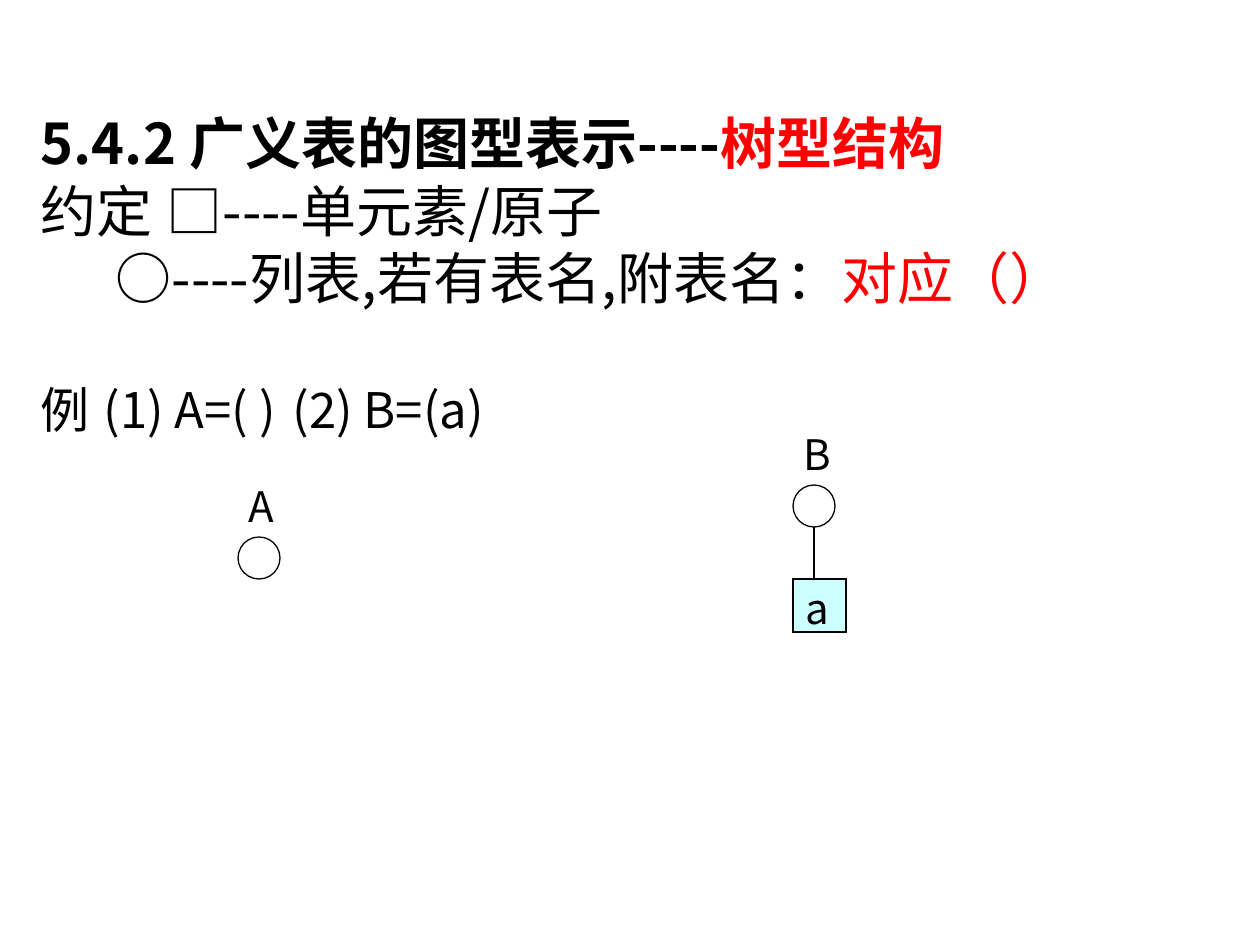
from dataclasses import dataclass

from lxml import etree
from pptx import Presentation
from pptx.dml.color import RGBColor
from pptx.enum.shapes import MSO_CONNECTOR, MSO_SHAPE
from pptx.enum.text import MSO_ANCHOR, MSO_AUTO_SIZE
from pptx.oxml.ns import qn
from pptx.util import Pt

STRAIGHT = MSO_CONNECTOR.STRAIGHT
OVAL = MSO_SHAPE.OVAL
TOP = MSO_ANCHOR.TOP
NO_AUTOFIT = MSO_AUTO_SIZE.NONE
PX = 7257  # EMU in one px, at 126 px to the inch
NODE = 42
ATOM = 53


@dataclass(frozen=True)
class Theme:
    font: str = "Noto Sans CJK SC"
    ink: RGBColor = RGBColor(0, 0, 0)
    accent: RGBColor = RGBColor(0xFF, 0, 0)
    atom_fill: RGBColor = RGBColor(0xCC, 0xFF, 0xFF)
    heading_size: int = 32
    example_size: int = 28
    label_size: int = 24
    line_spacing: float = 0.8
    thin: float = 0.75
    border: float = 1.08


THEME = Theme()


def px(*lengths):
    return [length * PX for length in lengths]


def write(para, *parts, size, bold=False, before=0, indent=0, tabs=()):
    """Fill a paragraph with (text, colour) parts in one format."""
    properties = para._p.get_or_add_pPr()
    properties.set("marL", str(indent * PX))
    properties.set("indent", "0")
    etree.SubElement(properties, qn("a:buNone"))
    if tabs:
        stops = etree.SubElement(properties, qn("a:tabLst"))
        for stop in tabs:
            etree.SubElement(stops, qn("a:tab"), pos=str(stop * PX), algn="l")
    para.line_spacing = THEME.line_spacing
    para.space_before = Pt(before)
    for text, color in parts:
        span = para.add_run()
        span.text = text
        span.font.size = Pt(size)
        span.font.bold = bold
        span.font.color.rgb = color
        span.font.name = THEME.font
        etree.SubElement(span._r.get_or_add_rPr(), qn("a:ea"), typeface=THEME.font)


def add_body(page):
    page.shapes.title._element.getparent().remove(page.shapes.title._element)
    body = page.placeholders[1]
    body.left, body.top, body.width, body.height = px(28, 115, 1207, 357)
    frame = body.text_frame
    frame.auto_size = NO_AUTOFIT
    frame.vertical_anchor = TOP
    ink, accent, large = THEME.ink, THEME.accent, THEME.heading_size
    write(frame.paragraphs[0], ("5.4.2 广义表的图型表示----", ink),
          ("树型结构", accent), size=large, bold=True)
    write(frame.add_paragraph(), ("约定\t□----单元素/原子", ink),
          size=large, before=8, tabs=[137])
    write(frame.add_paragraph(), ("○----列表,若有表名,附表名：", ink),
          ("对应（）", accent), size=large, before=8, indent=75)
    write(frame.add_paragraph(), ("例\t(1) A=( )\t(2) B=(a)", ink),
          size=THEME.example_size, before=46, tabs=[80, 352])


def add_label(page, text, left, top):
    box = page.shapes.add_textbox(*px(left, top, 52, 53))
    box.text_frame.word_wrap = False
    write(box.text_frame.paragraphs[0], (text, THEME.ink), size=THEME.label_size)


def add_list_node(page, name, left, top):
    """Draw a list as a circle with its name above."""
    add_label(page, name, left + 1 - 3, top - 53)
    circle = page.shapes.add_shape(OVAL, *px(left, top, NODE, NODE))
    circle.shadow.inherit = False
    circle.fill.background()
    circle.line.color.rgb = THEME.ink
    circle.line.width = Pt(THEME.thin)


def add_link(page, x, top, bottom):
    link = page.shapes.add_connector(STRAIGHT, *px(x, top, x, bottom))
    link.line.color.rgb = THEME.ink
    link.line.width = Pt(THEME.thin)
    etree.SubElement(link._element.spPr, qn("a:effectLst"))


def add_cell_borders(cell):
    properties = cell._tc.get_or_add_tcPr()
    for index, side in enumerate(("lnL", "lnR", "lnT", "lnB")):
        line = etree.Element(qn(f"a:{side}"), w=str(Pt(THEME.border)))
        fill = etree.SubElement(line, qn("a:solidFill"))
        etree.SubElement(fill, qn("a:srgbClr"), val=str(THEME.ink))
        properties.insert(index, line)


def add_atom(page, text, left, top):
    table = page.shapes.add_table(1, 1, *px(left, top, ATOM, ATOM)).table
    cell = table.cell(0, 0)
    cell.fill.solid()
    cell.fill.fore_color.rgb = THEME.atom_fill
    add_cell_borders(cell)
    write(cell.text_frame.paragraphs[0], (text, THEME.ink), size=THEME.label_size)


def main():
    deck = Presentation()
    deck.slide_width, deck.slide_height = px(1260, 945)
    page = deck.slides.add_slide(deck.slide_layouts[1])
    add_body(page)
    add_list_node(page, "A", 238, 537)
    add_list_node(page, "B", 793, 485)
    add_link(page, 793 + NODE // 2, 485 + NODE, 579)
    add_atom(page, "a", 793, 579)
    deck.save("out.pptx")


if __name__ == "__main__":
    main()
